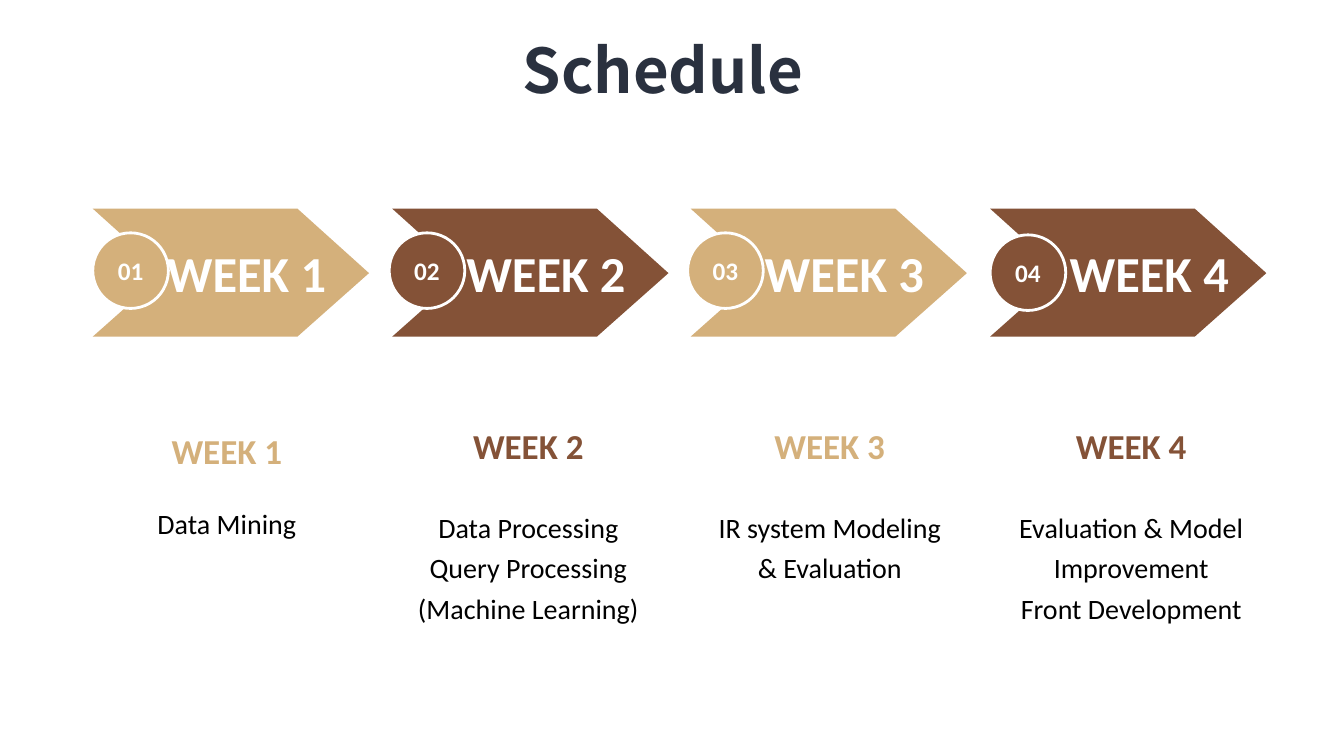
from pptx import Presentation
from pptx.dml.color import RGBColor
from pptx.enum.shapes import MSO_SHAPE as SHAPE
from pptx.enum.text import MSO_ANCHOR as ANCHOR, MSO_AUTO_SIZE as AUTO, PP_ALIGN as ALIGN
from pptx.util import Pt

PX = 9144  # EMU per px, 100 px to the inch

TAN = RGBColor(0xD4, 0xB0, 0x7B)
BROWN = RGBColor(0x84, 0x52, 0x37)
NAVY = RGBColor(0x2A, 0x31, 0x3F)
WHITE = RGBColor(0xFF, 0xFF, 0xFF)
BLACK = RGBColor(0x00, 0x00, 0x00)

ARROW_TOP, ARROW_PITCH = 207, 297
ARROW_OUTLINE = [(0, 0), (203, 0), (274, 64), (203, 127), (0, 127), (71, 64)]
COLUMN_LEFT, COLUMN_PITCH, COLUMN_W = 85, 299, 280

# colour, badge left and top, arrow text inset, heading top, body top and height, lines
WEEKS = [
    (TAN, 92, 231, 59, 426, 491, 131, ["Data Mining"]),
    (BROWN, 386, 231, 59, 421, 495, 122,
     ["Data Processing", "Query Processing", "(Machine Learning)"]),
    (TAN, 682, 231, 59, 421, 495, 122, ["IR system Modeling", "& Evaluation"]),
    (BROWN, 982, 233, 70, 421, 495, 122,
     ["Evaluation & Model Improvement", "Front Development"]),
]


def px(*values):
    return [round(v * PX) for v in values]


def write(sp, lines, size, color, bold=True, font="Calibri", spacing=None,
          insets=None, anchor=ANCHOR.TOP, wrap=True):
    tf = sp.text_frame
    frame = {"word_wrap": wrap, "vertical_anchor": anchor}
    if insets:
        sides = ("margin_left", "margin_top", "margin_right", "margin_bottom")
        frame.update(zip(sides, px(*insets)))
    for name, value in frame.items():
        setattr(tf, name, value)
    for i, line in enumerate(lines):
        p = tf.add_paragraph() if i else tf.paragraphs[0]
        p.alignment = ALIGN.CENTER
        if spacing:
            p.line_spacing = spacing
        r = p.add_run()
        r.text = line
        for name, value in {"size": Pt(size), "bold": bold, "name": font}.items():
            setattr(r.font, name, value)
        r.font.color.rgb = color


def add_text(s, box, lines, size, color, **formats):
    sp = s.shapes.add_textbox(*px(*box))
    write(sp, lines, size, color, **formats)
    return sp


def paint(sp, color):
    sp.shadow.inherit = False
    sp.fill.solid()
    sp.fill.fore_color.rgb = color


def add_arrow(s, left, text, color, inset):
    points = [tuple(px(left + x, ARROW_TOP + y)) for x, y in ARROW_OUTLINE]
    outline = s.shapes.build_freeform(*points[0])
    outline.add_line_segments(points[1:], close=True)
    sp = outline.convert_to_shape()
    paint(sp, color)
    sp.line.fill.background()
    write(sp, [text], 36, WHITE, insets=(inset, 0, 28, 0), anchor=ANCHOR.MIDDLE)


def add_badge(s, left, top, text, color):
    sp = s.shapes.add_shape(SHAPE.OVAL, *px(left, top, 75, 75))
    paint(sp, color)
    sp.line.color.rgb = WHITE
    sp.line.width = Pt(2)
    write(sp, [text], 18, WHITE, insets=(0, 0, 0, 0), anchor=ANCHOR.MIDDLE, wrap=False)


def main():
    prs = Presentation()
    prs.slide_width, prs.slide_height = px(1333, 750)
    s = prs.slides.add_slide(prs.slide_layouts[6])

    # Title
    title = add_text(s, (142, -10, 1031, 108), ["Schedule"], 44, NAVY,
                     font="Noto Sans CJK SC", spacing=1.5)
    title.text_frame.auto_size = AUTO.SHAPE_TO_FIT_TEXT

    for i, week in enumerate(WEEKS):
        color, badge_left, badge_top, inset, head_top, body_top, body_h, lines = week
        label = f"WEEK {i + 1}"

        # Timeline arrow with its number
        add_arrow(s, 92 + i * ARROW_PITCH - i // 2, label, color, inset)
        add_badge(s, badge_left, badge_top, f"{i + 1:02}", color)

        # Heading and tasks below
        left = COLUMN_LEFT + i * COLUMN_PITCH
        add_text(s, (left, head_top, COLUMN_W, 27), [label], 25, color,
                 insets=(0, 0, 0, 0))
        add_text(s, (left, body_top, COLUMN_W, body_h), lines, 20, BLACK,
                 bold=False, spacing=1.2)

    prs.save("out.pptx")


if __name__ == "__main__":
    main()
